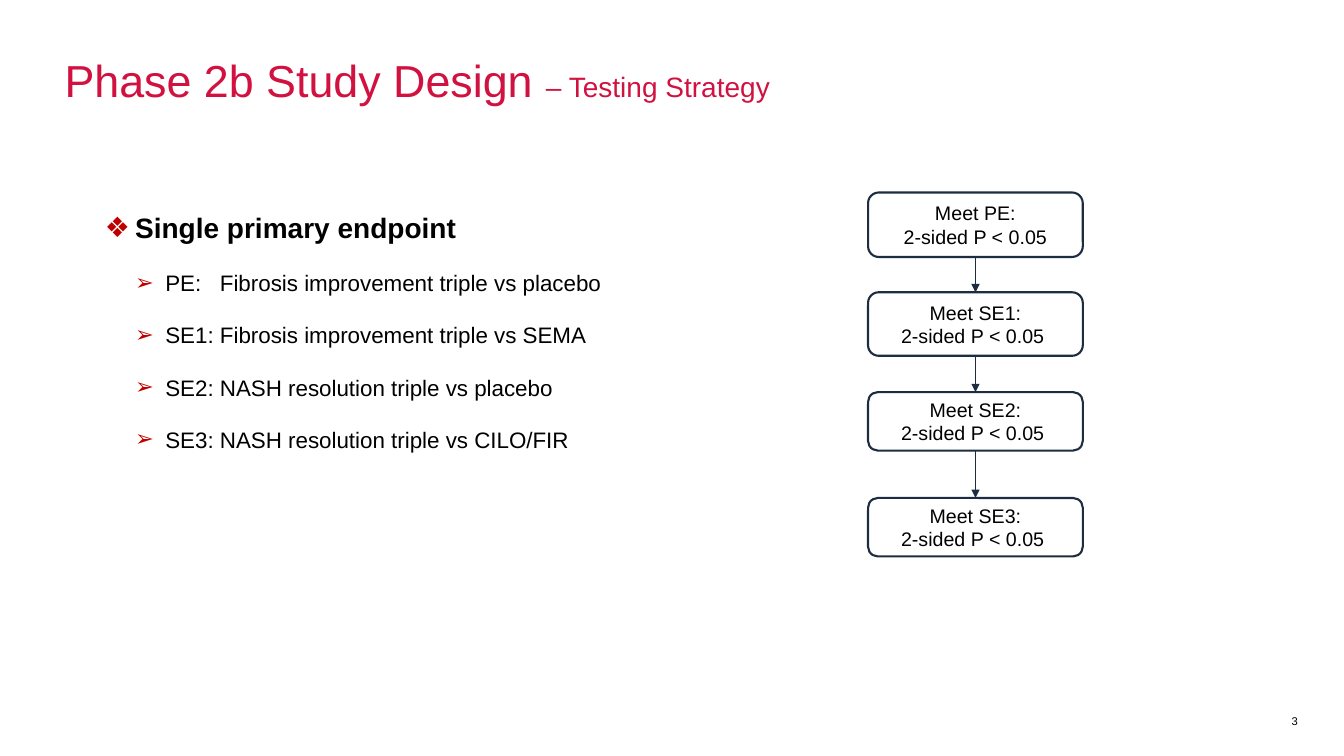
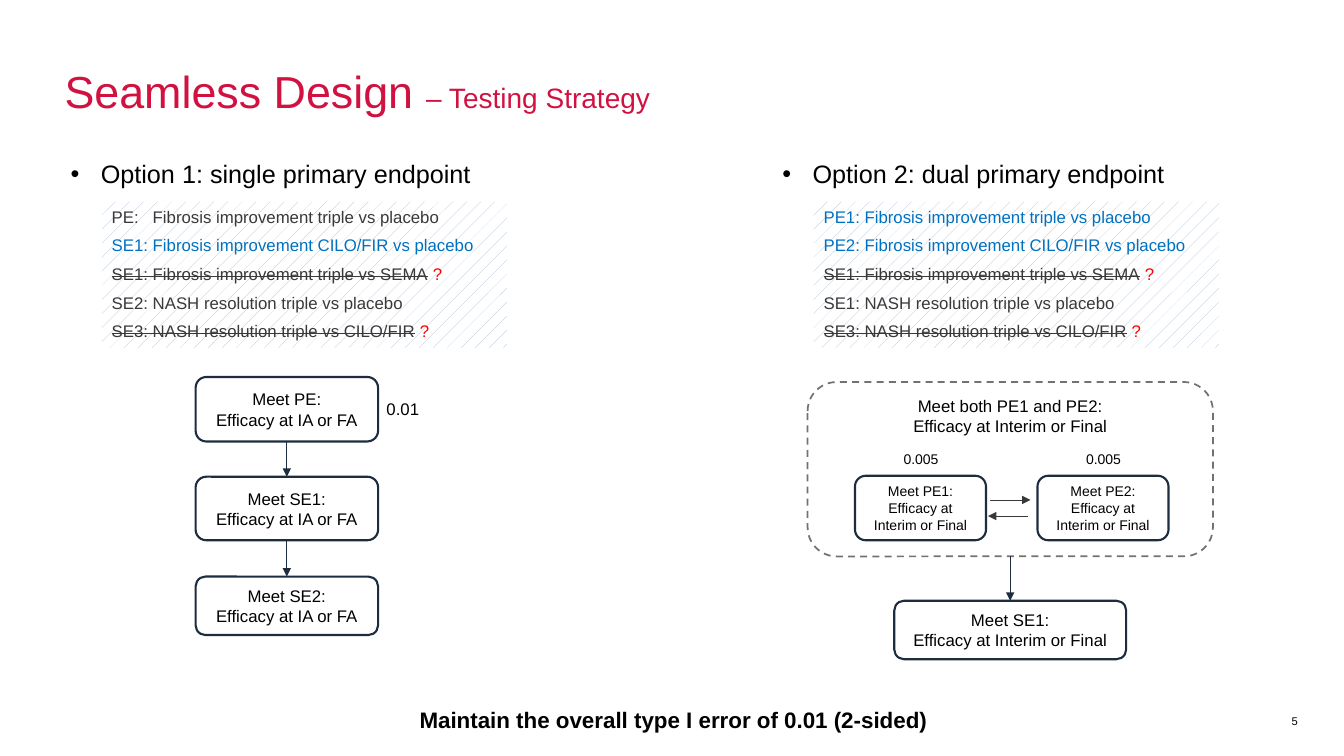
from lxml import etree
from pptx import Presentation
from pptx.dml.color import RGBColor
from pptx.enum.dml import MSO_LINE, MSO_PATTERN
from pptx.enum.shapes import MSO_CONNECTOR, MSO_SHAPE
from pptx.enum.text import MSO_ANCHOR, MSO_AUTO_SIZE, PP_ALIGN
from pptx.oxml.ns import qn
from pptx.util import Pt

PX = 9144  # 100 px to the inch
FONT = "Arial"
CRIMSON = RGBColor(0xD1, 0x12, 0x41)
BLACK = RGBColor(0x00, 0x00, 0x00)
WHITE = RGBColor(0xFF, 0xFF, 0xFF)
NAVY = RGBColor(0x1E, 0x2C, 0x40)
CHARCOAL = RGBColor(0x3B, 0x38, 0x38)
GREY = RGBColor(0x76, 0x71, 0x71)
BLUE = RGBColor(0x00, 0x70, 0xC0)
RED = RGBColor(0xFF, 0x00, 0x00)
BULLET_RED = RGBColor(0xC0, 0x00, 0x00)
HATCH = RGBColor(0xA7, 0xBB, 0xD6)

LEFT, CENTER, RIGHT = PP_ALIGN.LEFT, PP_ALIGN.CENTER, PP_ALIGN.RIGHT
TOP, MIDDLE, BOTTOM = MSO_ANCHOR.TOP, MSO_ANCHOR.MIDDLE, MSO_ANCHOR.BOTTOM
RECT, ROUNDED = MSO_SHAPE.RECTANGLE, MSO_SHAPE.ROUNDED_RECTANGLE
TOP_SITE, BOTTOM_SITE = 0, 2
CONTENT_LAYOUT, TWO_CONTENT_LAYOUT = 1, 3

# Offset from the top of the chain, and height, of each step
CHAIN_ROWS = ((0, 64), (99, 63), (198, 58), (303, 58))
P_LEVEL = "2-sided P < 0.05"
IA_OR_FA = "Efficacy at IA or FA"
INTERIM = "Efficacy at Interim or Final"


def emu(*lengths):
    return [length * PX for length in lengths]


def place(shape, box):
    shape.left, shape.top, shape.width, shape.height = emu(*box)


def set_frame(frame, anchor):
    frame.word_wrap = True
    frame.auto_size = MSO_AUTO_SIZE.NONE
    frame.vertical_anchor = anchor


def add_run(paragraph, text, size, color=BLACK, bold=False, strike=False):
    run = paragraph.add_run()
    run.text = text
    font = run.font
    font.name, font.size, font.bold = FONT, Pt(size), bold
    font.color.rgb = color
    if strike:
        run._r.get_or_add_rPr().set("strike", "sngStrike")


def write(frame, paragraphs, size, align=LEFT, anchor=MIDDLE, before=0):
    """Fill a frame; each paragraph is a list of (text, colour, bold, strike) runs."""
    set_frame(frame, anchor)
    for number, runs in enumerate(paragraphs):
        paragraph = frame.add_paragraph() if number else frame.paragraphs[0]
        paragraph.alignment = align
        paragraph.space_before = Pt(before)
        for text, *style in runs:
            add_run(paragraph, text, size, *style)


def set_bullet(paragraph, char, indent, color):
    properties = paragraph._p.get_or_add_pPr()
    properties.set("marL", str(indent * PX))
    properties.set("indent", str(-30 * PX))
    fill = etree.SubElement(properties, qn("a:buClr"))
    etree.SubElement(fill, qn("a:srgbClr")).set("val", str(color))
    etree.SubElement(properties, qn("a:buFont")).set("typeface", FONT)
    etree.SubElement(properties, qn("a:buChar")).set("char", char)


def add_label(slide, box, text, size, align=CENTER, anchor=TOP, bold=False):
    label = slide.shapes.add_textbox(*emu(*box))
    write(label.text_frame, [[(text, BLACK, bold)]], size, align, anchor)


def add_panel(slide, kind, box):
    panel = slide.shapes.add_shape(kind, *emu(*box))
    panel.shadow.inherit = False
    return panel


def add_step(slide, box, lines, size, anchor=MIDDLE):
    step = add_panel(slide, ROUNDED, box)
    step.fill.background()
    step.line.color.rgb = NAVY
    step.line.width = Pt(1.5)
    write(step.text_frame, [[(line,)] for line in lines], size, CENTER, anchor)
    return step


def add_arrow(slide, start, end, color=NAVY):
    arrow = slide.shapes.add_connector(MSO_CONNECTOR.STRAIGHT, *emu(*start, *end))
    arrow.line.color.rgb = color
    arrow.line.width = Pt(0.5)
    etree.SubElement(arrow.line._get_or_add_ln(), qn("a:tailEnd")).set("type", "triangle")
    etree.SubElement(arrow._element.spPr, qn("a:effectLst"))
    return arrow


def link_steps(slide, upper, lower):
    arrow = add_arrow(slide, (0, 0), (0, 0))
    arrow.begin_connect(upper, BOTTOM_SITE)
    arrow.end_connect(lower, TOP_SITE)


def add_chain(slide, left, top, width, steps, size):
    """Stack steps downwards, each linked to the one before."""
    previous = None
    for (offset, height), lines in zip(CHAIN_ROWS, steps):
        step = add_step(slide, (left, top + offset, width, height), lines, size)
        if previous is not None:
            link_steps(slide, previous, step)
        previous = step


def new_slide(deck, layout, heading, title_top, number):
    slide = deck.slides.add_slide(deck.slide_layouts[layout])
    title = slide.shapes.title
    place(title, (54, title_top, 1229, 86))
    set_frame(title.text_frame, BOTTOM)
    paragraph = title.text_frame.paragraphs[0]
    paragraph.alignment = LEFT
    paragraph.line_spacing = 0.9
    add_run(paragraph, heading + " ", 32, CRIMSON)
    add_run(paragraph, "– Testing Strategy", 20, CRIMSON)
    add_label(slide, (1245, 695, 52, 40), number, 8, RIGHT, MIDDLE)
    return slide


def add_endpoint_list(body, box, heading, endpoints):
    place(body, box)
    frame = body.text_frame
    write(frame, [[]] * (1 + len(endpoints)), 16, anchor=TOP, before=18)
    first, *rest = frame.paragraphs
    add_run(first, heading, 20, bold=True)
    set_bullet(first, "❖", 30, BULLET_RED)
    for paragraph, endpoint in zip(rest, endpoints):
        paragraph.level = 1
        add_run(paragraph, endpoint, 16)
        set_bullet(paragraph, "➢", 60, BULLET_RED)


def add_option(slide, body, left, top, heading, endpoints):
    """Place an option's bulleted heading above its hatched endpoint list."""
    place(body, (left, top, 507, 40))
    write(body.text_frame, [[(heading,)]], 18, anchor=TOP)
    set_bullet(body.text_frame.paragraphs[0], "•", 30, BLACK)

    panel = add_panel(slide, RECT, (left + 41, top + 48, 402, 145))
    panel.fill.patterned()
    panel.fill.pattern = MSO_PATTERN.PERCENT_5
    panel.fill.fore_color.rgb = HATCH
    panel.fill.back_color.rgb = WHITE
    panel.line.fill.background()
    write(panel.text_frame, endpoints, 12, anchor=TOP, before=6)


def kept(text):
    return [(text, CHARCOAL)]


def added(text):
    return [(text, BLUE)]


def dropped(text):
    return [(text, CHARCOAL, False, True), (" ?", RED)]


def add_dual_flow(slide, left, top):
    """Draw the dashed group of two exchanging endpoints and the step after it."""
    group = add_step(slide, (left, top, 402, 173),
                     ["Meet both PE1 and PE2:", INTERIM], 12, TOP)
    group.line.color.rgb = GREY
    group.line.width = Pt(1.25)
    group.line.dash_style = MSO_LINE.DASH

    follow_up = add_step(slide, (left + 86, top + 217, 230, 58),
                         ["Meet SE1:", INTERIM], 12)
    link_steps(slide, group, follow_up)

    for name, offset in (("PE1", 47), ("PE2", 228)):
        add_label(slide, (left + offset + 27, top + 63, 77, 27), "0.005", 10)
        add_step(slide, (left + offset, top + 93, 130, 64),
                 [f"Meet {name}:", INTERIM], 10)
    for start, end, offset in ((181, 221, 117), (219, 179, 133)):
        add_arrow(slide, (left + start, top + offset),
                  (left + end, top + offset), CHARCOAL)


def build_phase_2b(deck):
    slide = new_slide(deck, CONTENT_LAYOUT, "Phase 2b Study Design", 25, "3")
    add_endpoint_list(slide.placeholders[1], (94, 204, 524, 252),
                      "Single primary endpoint",
                      ["PE:   Fibrosis improvement triple vs placebo",
                       "SE1: Fibrosis improvement triple vs SEMA",
                       "SE2: NASH resolution triple vs placebo",
                       "SE3: NASH resolution triple vs CILO/FIR"])
    steps = [["Meet PE:", P_LEVEL]]
    steps += [[f"Meet {name}:", P_LEVEL + " "] for name in ("SE1", "SE2", "SE3")]
    add_chain(slide, 861, 191, 213, steps, 14)


def build_seamless(deck):
    slide = new_slide(deck, TWO_CONTENT_LAYOUT, "Seamless Design", 36, "5")
    versus_sema = dropped("SE1: Fibrosis improvement triple vs SEMA")
    versus_cilo = dropped("SE3: NASH resolution triple vs CILO/FIR")

    add_option(slide, slide.placeholders[1], 60, 152,
               "Option 1: single primary endpoint",
               [kept("PE:   Fibrosis improvement triple vs placebo"),
                added("SE1: Fibrosis improvement CILO/FIR vs placebo"),
                versus_sema,
                kept("SE2: NASH resolution triple vs placebo"),
                versus_cilo])
    add_chain(slide, 194, 374, 181,
              [[f"Meet {name}:", IA_OR_FA] for name in ("PE", "SE1", "SE2")], 12)
    add_label(slide, (365, 391, 69, 30), "0.01", 12)

    add_option(slide, slide.placeholders[2], 766, 152,
               "Option 2: dual primary endpoint",
               [added("PE1: Fibrosis improvement triple vs placebo"),
                added("PE2: Fibrosis improvement CILO/FIR vs placebo"),
                versus_sema,
                kept("SE1: NASH resolution triple vs placebo"),
                versus_cilo])
    add_dual_flow(slide, 801, 379)

    add_label(slide, (374, 694, 588, 40),
              "Maintain the overall type I error of 0.01 (2-sided)", 16,
              anchor=MIDDLE, bold=True)


def main():
    deck = Presentation()
    deck.slide_width, deck.slide_height = emu(1333, 750)
    build_phase_2b(deck)
    build_seamless(deck)
    deck.save("out.pptx")


if __name__ == "__main__":
    main()
